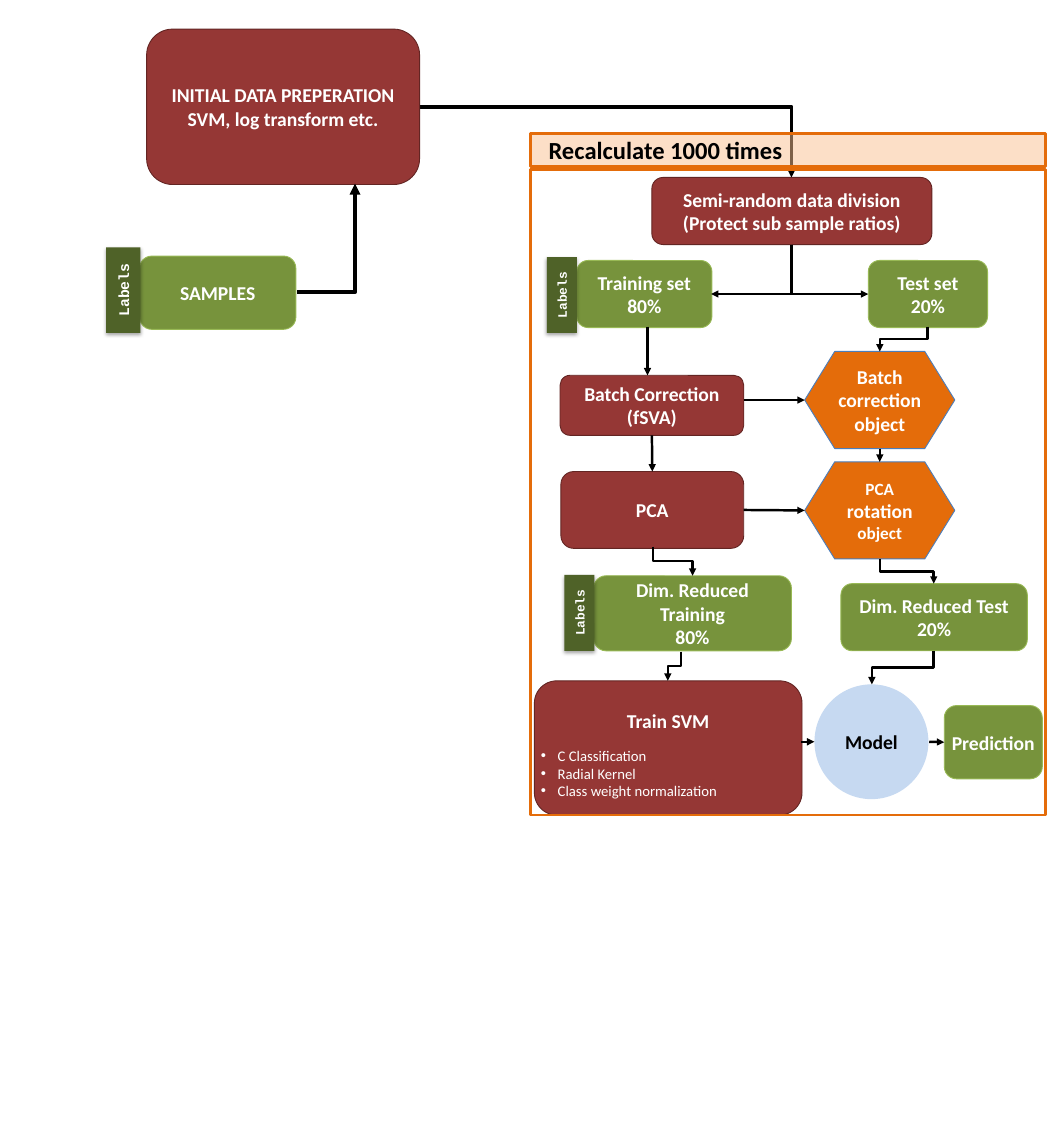
from lxml.etree import SubElement
from pptx import Presentation
from pptx.dml.color import RGBColor
from pptx.enum.shapes import MSO_CONNECTOR, MSO_SHAPE
from pptx.enum.text import MSO_ANCHOR, PP_ALIGN
from pptx.oxml.ns import qn
from pptx.util import Inches, Pt

COLUMNS, ROWS = 120, 130
CELL = Inches(0.1)
COLORS = {
    "step": "953735", "step_edge": "632523",
    "data": "77933C", "data_edge": "98B955",
    "object": "E46C0A", "object_edge": "4B7EBC",
    "label": "4F6228", "model": "C6D9F1", "header": "FAC090",
    "white": "FFFFFF", "black": "000000",
}


def color(name):
    return RGBColor.from_string(COLORS[name])


def cells(*values):
    return [round(value * CELL) for value in values]


def style(paragraph, size, tone="white", font="Calibri", bold=True):
    for span in paragraph.runs:
        span.font.size = Pt(size)
        span.font.name = font
        span.font.bold = bold
        span.font.color.rgb = color(tone)


def add_box(page, kind, place, fill=None, edge=None, width=0.75):
    box = page.shapes.add_shape(kind, *cells(*place))
    box.shadow.inherit = False
    if fill:
        box.fill.solid()
        box.fill.fore_color.rgb = color(fill)
    else:
        box.fill.background()
    if edge:
        box.line.color.rgb = color(edge)
        box.line.width = Pt(width)
    else:
        box.line.fill.background()
    return box


def write(box, text, size=16, tone="white", font="Calibri", align=PP_ALIGN.CENTER):
    frame = box.text_frame
    frame.word_wrap = True
    frame.vertical_anchor = MSO_ANCHOR.MIDDLE
    frame.text = text
    for paragraph in frame.paragraphs:
        paragraph.alignment = align
        style(paragraph, size, tone, font)
    return frame


def add_rounded(page, place, text, role):
    box = add_box(page, MSO_SHAPE.FLOWCHART_ALTERNATE_PROCESS, place, role, role + "_edge")
    write(box, text)
    return box


def add_hexagon(page, top, text):
    box = add_box(page, MSO_SHAPE.FLOWCHART_PREPARATION, (91.1, top, 17, 11),
                  "object", "object_edge")
    frame = write(box, text)
    frame.margin_left = frame.margin_right = 0
    return box


def add_label(page, place, size):
    box = add_box(page, MSO_SHAPE.RECTANGLE, place, "label")
    box.rotation = 270
    write(box, "Labels", size, font="Courier New")
    effects = box._element.spPr.find(qn("a:effectLst"))
    shadow = SubElement(effects, qn("a:outerShdw"), blurRad=str(Pt(3.1)),
                        dist=str(Pt(1.8)), dir="5400000", rotWithShape="0")
    tint = SubElement(shadow, qn("a:srgbClr"), val=COLORS["black"])
    SubElement(tint, qn("a:alpha"), val="35000")


def finish_arrow(connector, width):
    connector.line.color.rgb = color("black")
    connector.line.width = Pt(width)
    properties = connector._element.spPr
    SubElement(properties.find(qn("a:ln")), qn("a:tailEnd"), type="triangle")
    SubElement(properties, qn("a:effectLst"))


def add_arrow(page, start, end, source=None, target=None):
    connector = page.shapes.add_connector(MSO_CONNECTOR.STRAIGHT, *cells(*start, *end))
    if source:
        connector.begin_connect(*source)
    if target:
        connector.end_connect(*target)
    finish_arrow(connector, 2)


def add_elbow(page, start, end, bends=2, downward=True, width=2):
    (left, top), (right, bottom) = start, end
    turn = 0
    if downward:
        across, down = (left + right) / 2, (top + bottom) / 2
        half_run, half_rise = (bottom - top) / 2, abs(right - left) / 2
        turn = 90 if right < left else 270
        if turn == 270:
            half_run = -half_run
        start = across - half_run, down - half_rise
        end = across + half_run, down + half_rise
    connector = page.shapes.add_connector(MSO_CONNECTOR.ELBOW, *cells(*start, *end))
    properties = connector._element.spPr
    properties.find(qn("a:prstGeom")).set("prst", f"bentConnector{bends + 1}")
    if turn:
        properties.find(qn("a:xfrm")).set("rot", str(turn * 60000))
    finish_arrow(connector, width)


def add_training_step(page):
    box = add_rounded(page, (60.5, 77.1, 30.3, 15.2),
                      "Train SVM\nC Classification\nRadial Kernel\nClass weight normalization",
                      "step")
    frame = box.text_frame
    frame.vertical_anchor = MSO_ANCHOR.BOTTOM
    frame.margin_left = frame.margin_right = 0
    frame.margin_bottom = Inches(0.1)
    title, *bullets = frame.paragraphs
    title.space_after = Pt(11.5)
    for bullet in bullets:
        bullet.alignment = PP_ALIGN.LEFT
        style(bullet, 12, bold=False)
        settings = bullet._p.get_or_add_pPr()
        settings.set("marL", str(Inches(0.19)))
        settings.set("indent", str(-Inches(0.19)))
        SubElement(settings, qn("a:buFont"), typeface="Arial")
        SubElement(settings, qn("a:buChar"), char="•")


def add_rotation_object(page):
    box = add_hexagon(page, 52.3, "PCA\v")
    paragraph = box.text_frame.paragraphs[0]
    for text in ("rotation", " object"):
        paragraph.add_run().text = text
    style(paragraph, 14)
    paragraph.runs[1].font.size = Pt(16)
    return box


def add_loop_frame(page):
    add_box(page, MSO_SHAPE.RECTANGLE, (60.1, 19.2, 58.3, 73.1), None, "object", 2.25)
    header = add_box(page, MSO_SHAPE.RECTANGLE, (60.1, 15.1, 58.3, 3.8),
                     "header", "object", 2.25)
    tint = header._element.spPr.find(qn("a:solidFill")).find(qn("a:srgbClr"))
    SubElement(tint, qn("a:alpha"), val="50000")
    frame = write(header, "Recalculate 1000 times", 20, "black", align=PP_ALIGN.LEFT)
    frame.margin_left = Inches(0.2)


def add_preparation(page):
    add_elbow(page, (47.6, 12.1), (89.6, 20.1), 1, False, 3)
    add_rounded(page, (16.6, 3.3, 30.9, 17.6),
                "INITIAL DATA PREPERATION\nSVM, log transform etc.", "step")
    add_elbow(page, (33.6, 33.1), (40.2, 20.8), 1, False, 3)
    add_rounded(page, (15.8, 29, 17.7, 8.3), "SAMPLES", "data")
    add_label(page, (9.1, 30.9, 9.7, 3.9), 12)


def add_loop(page):
    add_rounded(page, (73.8, 20.1, 31.7, 7.6),
                "Semi-random data division\n(Protect sub sample ratios)", "step")
    add_rounded(page, (65.3, 29.5, 15.3, 7.6), "Training set\v80%", "data")
    add_rounded(page, (98.3, 29.5, 13.5, 7.6), "Test set\v20%", "data")
    correction = add_rounded(page, (63.4, 42.5, 20.8, 6.8), "Batch Correction (fSVA)", "step")
    analysis = add_rounded(page, (63.5, 53.4, 20.7, 8.7), "PCA", "step")
    add_rounded(page, (67.2, 65.2, 22.4, 8.5), "Dim. Reduced Training\v80%", "data")
    add_rounded(page, (95.2, 66.1, 21.1, 7.6), "Dim. Reduced Test\n20%", "data")
    add_training_step(page)
    model = add_box(page, MSO_SHAPE.OVAL, (92.2, 77.5, 12.9, 13), "model")
    write(model, "Model", tone="black")
    prediction = add_rounded(page, (106.9, 79.9, 11.1, 8.3), "Prediction", "data")
    prediction.text_frame.margin_left = prediction.text_frame.margin_right = Inches(0.02)
    batch_object = add_hexagon(page, 39.8, "Batch\vcorrection object")
    rotation_object = add_rotation_object(page)

    for end in ((80.5, 33.3), (98.3, 33.3)):
        add_elbow(page, (89.6, 27.7), end, 1)
    for start, end in (
        ((105, 37), (99.6, 39.8)),
        ((73.9, 61.9), (78.4, 65.2)),
        ((99.6, 63.3), (105.7, 66.1)),
        ((77.1, 73.8), (75.6, 77.1)),
        ((105.7, 73.7), (98.7, 77.5)),
    ):
        add_elbow(page, start, end)
    add_arrow(page, (73.3, 37), (73.3, 42.5))
    add_arrow(page, (73.8, 49.3), (73.8, 53.4), (correction, 2), (analysis, 0))
    add_arrow(page, (84.2, 45.3), (91.1, 45.3), None, (batch_object, 1))
    add_arrow(page, (84.2, 57.8), (91.1, 57.8), (analysis, 3), (rotation_object, 1))
    add_arrow(page, (99.6, 50.8), (99.6, 52.3), (batch_object, 2), (rotation_object, 0))
    add_arrow(page, (90.7, 84), (92.2, 84))
    add_arrow(page, (105.2, 84), (106.9, 84), None, (prediction, 1))
    add_loop_frame(page)
    for left, top in ((59.3, 31.7), (61.3, 67.7)):
        add_label(page, (left, top, 8.6, 3.4), 10.5)


def main():
    deck = Presentation()
    deck.slide_width, deck.slide_height = COLUMNS * CELL, ROWS * CELL
    page = deck.slides.add_slide(deck.slide_layouts[6])
    add_preparation(page)
    add_loop(page)
    deck.save("out.pptx")


if __name__ == "__main__":
    main()
